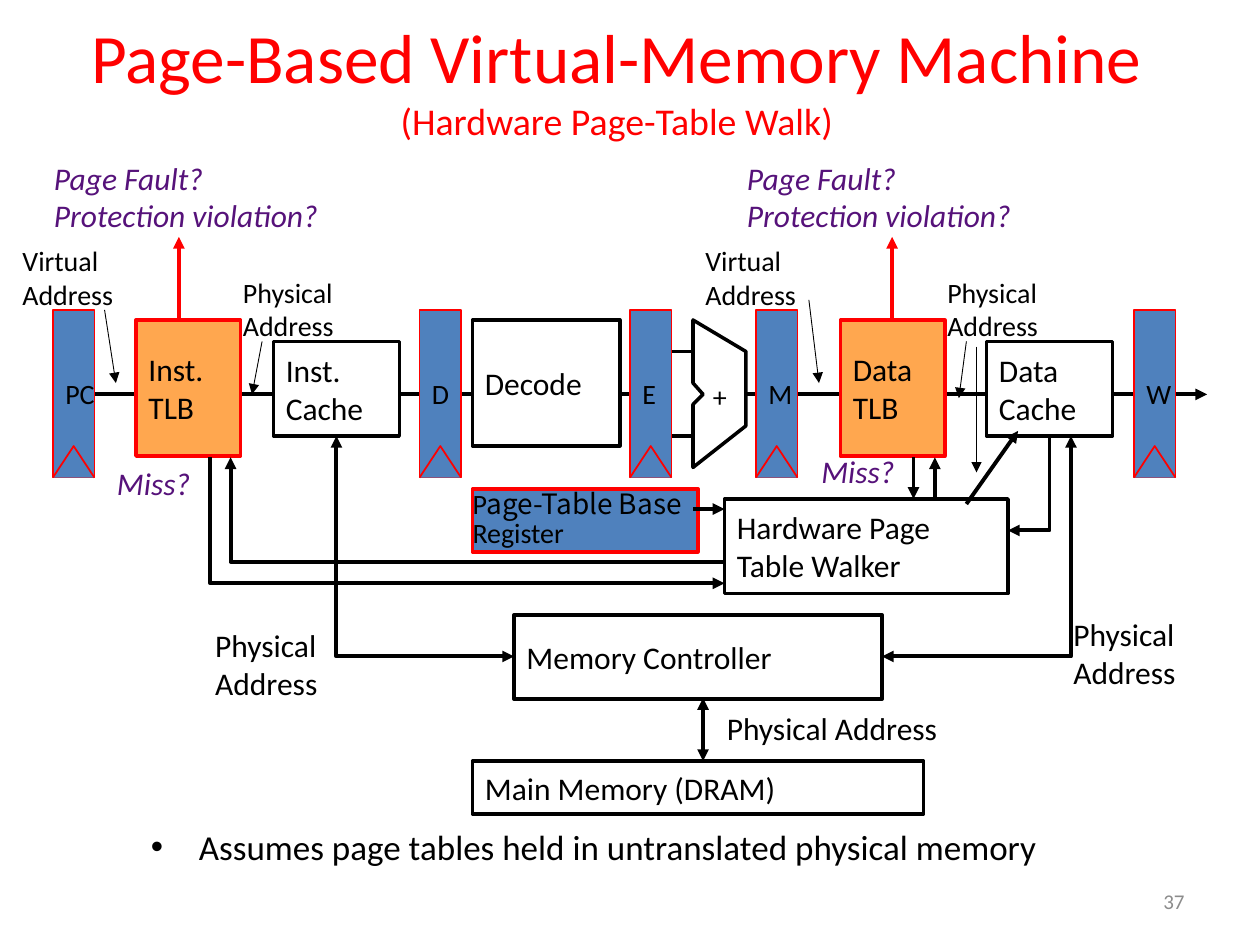
"""Build the slide on a page-based virtual-memory machine with a hardware page-table walk."""
from lxml.etree import SubElement
from pptx import Presentation
from pptx.dml.color import RGBColor
from pptx.enum.shapes import MSO_CONNECTOR, MSO_SHAPE
from pptx.enum.text import MSO_ANCHOR, PP_ALIGN
from pptx.oxml.ns import qn
from pptx.util import Inches, Pt

BLACK = RGBColor(0x00, 0x00, 0x00)
WHITE = RGBColor(0xFF, 0xFF, 0xFF)
RED = RGBColor(0xFF, 0x00, 0x00)
BLUE = RGBColor(0x4F, 0x81, 0xBD)
ORANGE = RGBColor(0xFF, 0xA7, 0x4F)
PURPLE = RGBColor(0x56, 0x12, 0x7A)
GRAY = RGBColor(0x8C, 0x8C, 0x8C)
FONT = "Calibri"

TITLE = [("Page-Based Virtual-Memory Machine\v", FONT, 39.6),
         ("(Hardware Page-Table Walk)", FONT, 21.6)]
BASE_REGISTER = [("P", FONT, 16), ("age-Table Base", "Noto Sans CJK JP", 16),
                 (" Register", FONT, 16)]
BULLET = "Assumes page tables held in untranslated physical memory"

REGISTERS = {"PC": 0.42, "D": 3.33, "E": 5, "M": 6, "W": 9}
REGISTER_TOP, REGISTER_WIDTH, REGISTER_HEIGHT, CLOCK_HEIGHT = 2.46, 0.33, 1.33, 0.25

BOXES = [
    ("Inst. TLB", (1.08, 2.54, 0.83, 1.08), ORANGE, RED),
    ("Inst. Cache", (2.17, 2.71, 1, 0.75), WHITE, BLACK),
    ("Decode", (3.75, 2.54, 1.17, 1), WHITE, BLACK),
    ("Data TLB", (6.67, 2.54, 0.83, 1.08), ORANGE, RED),
    ("Data Cache", (7.83, 2.71, 1, 0.75), WHITE, BLACK),
    ("Hardware Page Table Walker", (5.75, 3.96, 2.25, 0.75), WHITE, BLACK),
    ("Memory Controller", (4.08, 4.88, 2.92, 0.67), WHITE, BLACK),
    ("Main Memory (DRAM)", (3.75, 6.04, 3.58, 0.42), WHITE, BLACK),
]
ALU = [(5.5, 2.54), (5.5, 3.04), (5.58, 3.13), (5.5, 3.21), (5.5, 3.71),
       (5.92, 3.38), (5.92, 2.79)]

PIPELINE = [
    ((5.92, 3.13), (9.58, 3.13), "tail"),
    ((0.75, 3.13), (5.25, 3.13), ""),
]
WIRES = [
    ((5.33, 2.79), (5.5, 2.79), ""),
    ((5.33, 3.46), (5.5, 3.46), ""),
    ((5.58, 5.54), (5.58, 6.04), "head tail"),
    ((5.5, 4.04), (5.75, 4.04), "tail"),
    ((7.25, 3.63), (7.25, 3.96), "tail"),
    ((7.42, 3.96), (7.42, 3.63), "tail"),
    ((7.67, 4), (8.08, 3.42), "tail"),
]
FAULTS = [
    ((1.42, 2.54), (1.42, 1.88), "tail"),
    ((7.08, 2.54), (7.08, 1.88), "tail"),
]
POINTERS = [
    ((2.08, 2.71), (2, 3.13), "tail"),
    ((0.83, 2.46), (0.92, 3.04), "tail"),
    ((7.67, 2.71), (7.61, 3.16), "tail"),
    ((6.42, 2.38), (6.5, 3.04), "tail"),
    ((7.75, 2.75), (7.75, 3.75), "tail"),
]
BENT_WIRES = [
    ([(8.5, 3.46), (8.5, 5.21), (7, 5.21)], "head tail"),
    ([(2.67, 3.46), (2.67, 5.21), (4.08, 5.21)], "head tail"),
    ([(8, 4.21), (8.33, 4.21), (8.33, 3.46)], "head"),
    ([(1.67, 3.63), (1.67, 4.63), (5.75, 4.63)], "tail"),
    ([(1.83, 3.63), (1.83, 4.46), (5.75, 4.46)], "head"),
]

FAULT_TEXT = "Page Fault?\nProtection violation?"
NOTE = {"color": PURPLE, "italic": True}
SMALL = {"size": 16}
LABELS = [
    (FAULT_TEXT, (0.33, 1.21, 2.75, 0.7), NOTE),
    (FAULT_TEXT, (5.83, 1.21, 2.75, 0.7), NOTE),
    ("Miss?", (0.83, 3.63, 0.88, 0.4), NOTE),
    ("Miss?", (6.42, 3.54, 0.88, 0.4), NOTE),
    ("Virtual Address", (0.08, 1.88, 1.22, 0.64), SMALL),
    ("Virtual Address", (5.5, 1.88, 1.22, 0.64), SMALL),
    ("Physical Address", (1.83, 2.13, 1.22, 0.64), SMALL),
    ("Physical Address", (7.42, 2.13, 1.22, 0.64), SMALL),
    ("Physical Address", (8.42, 4.83, 1.22, 0.7), {}),
    ("Physical Address", (1.61, 4.92, 1.22, 0.7), {}),
    ("Physical Address", (5.67, 5.58, 2.67, 0.4), {}),
    ("+", (5.56, 2.96, 0.38, 0.37), SMALL),
    (TITLE, (0.17, 0.17, 9.45, 0.91), {"color": RED, "align": PP_ALIGN.CENTER}),
    (BULLET, (1.1, 6.5, 8.4, 0.44), {"size": 20, "bullet": "•"}),
    ("37", (7.17, 6.95, 2.33, 0.4), {"size": 12, "color": GRAY, "align": PP_ALIGN.RIGHT}),
]


def write(shape, text, size=18, color=BLACK, italic=False, align=PP_ALIGN.LEFT,
          wrap=True, inset=None, spacing=None, bullet=None):
    frame = shape.text_frame
    frame.word_wrap = wrap
    frame.vertical_anchor = MSO_ANCHOR.MIDDLE
    if inset is not None:
        frame.margin_left = frame.margin_right = Inches(inset)
        frame.margin_top = frame.margin_bottom = Inches(inset)
    lines = [[(line, FONT, size)] for line in text.split("\n")] if isinstance(text, str) else [text]
    for number, pieces in enumerate(lines):
        paragraph = frame.add_paragraph() if number else frame.paragraphs[0]
        paragraph.alignment = align
        if spacing:
            paragraph.line_spacing = spacing
        if bullet:
            properties = paragraph._p.get_or_add_pPr()
            properties.set("marL", str(Inches(0.38)))
            properties.set("indent", str(Inches(-0.38)))
            SubElement(properties, qn("a:buFont")).set("typeface", "Arial")
            SubElement(properties, qn("a:buChar")).set("char", bullet)
        for piece, font_name, points in pieces:
            words, *breaks = piece.split("\v")
            run = paragraph.add_run()
            run.text = words
            run.font.name, run.font.size = font_name, Pt(points)
            run.font.italic, run.font.color.rgb = italic, color
            for _ in breaks:
                paragraph.add_line_break()


def add_arrowheads(shape, ends):
    outline = shape.line._get_or_add_ln()
    for end in ends.split():
        SubElement(outline, qn(f"a:{end}End")).set("type", "triangle")


def paint(shape, fill, line, weight):
    shape.shadow.inherit = False
    if fill is None:
        shape.fill.background()
    else:
        shape.fill.solid()
        shape.fill.fore_color.rgb = fill
    shape.line.color.rgb = line
    shape.line.width = Pt(weight)
    return shape


def add_box(slide, place, fill, line, weight=2):
    box = slide.shapes.add_shape(MSO_SHAPE.RECTANGLE, *map(Inches, place))
    return paint(box, fill, line, weight)


def add_outline(slide, points, fill, line, weight, close=False):
    start, *rest = [(Inches(x), Inches(y)) for x, y in points]
    builder = slide.shapes.build_freeform(*start)
    builder.add_line_segments(rest, close=close)
    return paint(builder.convert_to_shape(), fill, line, weight)


def add_lines(slide, lines, color, weight):
    for start, finish, ends in lines:
        line = slide.shapes.add_connector(MSO_CONNECTOR.STRAIGHT, *map(Inches, start + finish))
        line.line.color.rgb = color
        line.line.width = Pt(weight)
        add_arrowheads(line, ends)
        SubElement(line._element.spPr, qn("a:effectLst"))


def add_register(slide, name, left):
    place = (left, REGISTER_TOP, REGISTER_WIDTH, REGISTER_HEIGHT)
    write(add_box(slide, place, BLUE, RED, 1), name, size=16, wrap=False)
    bottom = REGISTER_TOP + REGISTER_HEIGHT
    clock = [(left, bottom), (left + REGISTER_WIDTH / 2, bottom - CLOCK_HEIGHT),
             (left + REGISTER_WIDTH, bottom)]
    add_outline(slide, clock, BLUE, RED, 1)


def main():
    deck = Presentation()
    deck.slide_width, deck.slide_height = Inches(10), Inches(7.5)
    slide = deck.slides.add_slide(deck.slide_layouts[6])
    add_lines(slide, PIPELINE, BLACK, 2.25)
    for name, left in REGISTERS.items():
        add_register(slide, name, left)
    for name, place, fill, line in BOXES:
        write(add_box(slide, place, fill, line), name)
    write(add_box(slide, (3.75, 3.88, 1.79, 0.5), BLUE, RED), BASE_REGISTER, inset=0, spacing=0.85)
    add_outline(slide, ALU, WHITE, BLACK, 2, close=True)
    for points, ends in BENT_WIRES:
        add_arrowheads(add_outline(slide, points, None, BLACK, 2.25), ends)
    add_lines(slide, WIRES, BLACK, 2.25)
    add_lines(slide, FAULTS, RED, 2.25)
    add_lines(slide, POINTERS, BLACK, 0.5)
    for text, place, style in LABELS:
        write(slide.shapes.add_textbox(*map(Inches, place)), text, **style)
    deck.save("out.pptx")


if __name__ == "__main__":
    main()
